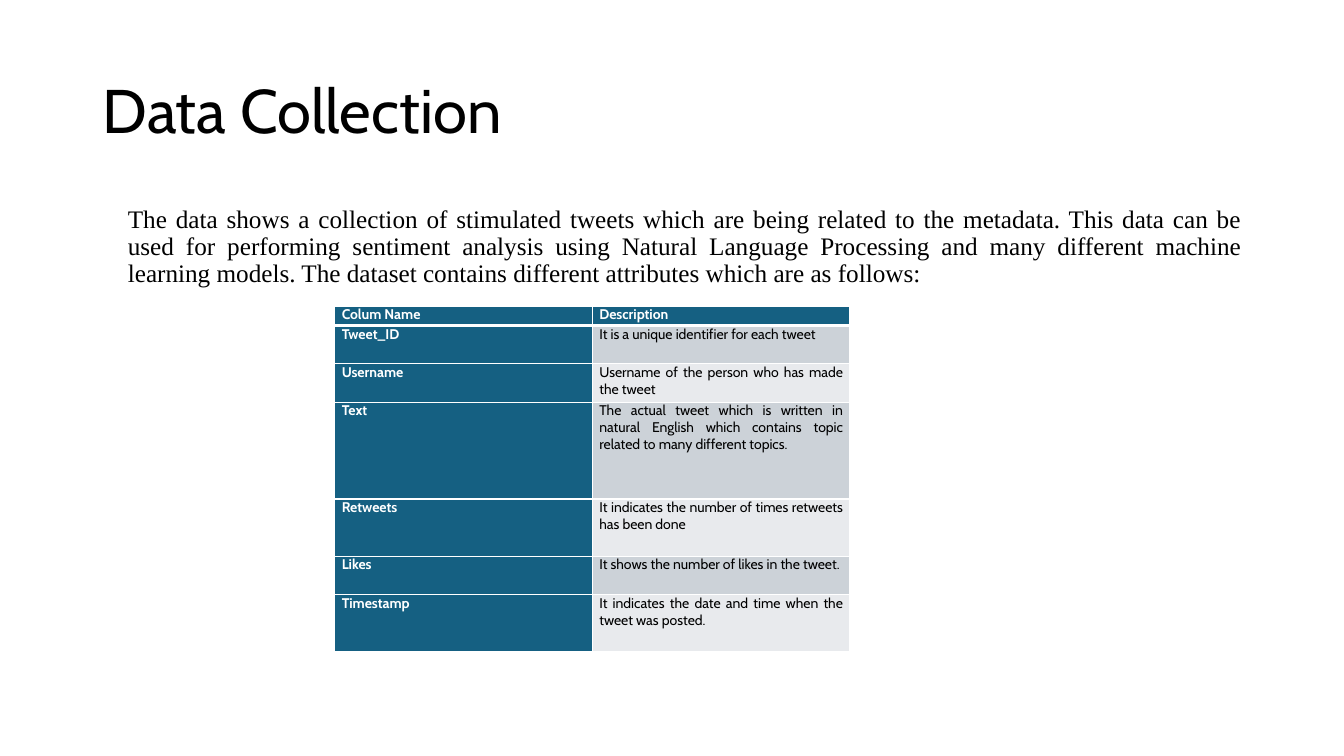
from dataclasses import dataclass

from lxml.etree import SubElement
from pptx import Presentation
from pptx.dml.color import RGBColor
from pptx.enum.text import MSO_ANCHOR, PP_ALIGN
from pptx.oxml.ns import qn
from pptx.util import Inches, Pt


@dataclass(frozen=True)
class Theme:
    heading_font: str = "Cabin"
    body_font: str = "Times New Roman"
    title_size: int = 44
    body_size: int = 18
    table_size: int = 10
    ink: str = "000000"
    white: str = "FFFFFF"
    accent: str = "156082"
    bands: tuple = ("CCD2D8", "E8EAED")


THEME = Theme()
INTRO = (
    "The data shows a collection of stimulated tweets which are being related to "
    "the metadata. This data can be used for performing sentiment analysis using "
    "Natural Language Processing and many different machine learning models. "
    "The dataset contains different attributes which are as follows:"
)
ATTRIBUTES = [
    ("Colum Name", "Description", 0.19),
    ("Tweet_ID", "It is a unique identifier for each tweet", 0.38),
    ("Username", "Username of the person who has made the tweet", 0.38),
    ("Text", "The actual tweet which is written in natural English which "
             "contains topic related to many different topics. ", 0.96),
    ("Retweets", "It indicates the number of times retweets has been done", 0.57),
    ("Likes", "It shows the number of likes in the tweet.", 0.38),
    ("Timestamp", "It indicates the date and time when the tweet was posted. ", 0.57),
]


def add_text(paragraph, text, font, size, color, bold=False):
    run = paragraph.add_run()
    run.text = text
    run.font.name = font
    run.font.size = Pt(size)
    run.font.bold = bold
    run.font.color.rgb = RGBColor.from_string(color)


def add_frame(slide, box):
    frame = slide.shapes.add_textbox(*map(Inches, box)).text_frame
    frame.word_wrap = True
    frame.paragraphs[0].line_spacing = 0.9
    return frame


def add_title(slide, box):
    title = add_frame(slide, box)
    title.vertical_anchor = MSO_ANCHOR.MIDDLE
    add_text(title.paragraphs[0], "Data Collection", THEME.heading_font,
             THEME.title_size, THEME.ink)


def add_intro(slide, box):
    intro = add_frame(slide, box).paragraphs[0]
    intro.alignment = PP_ALIGN.JUSTIFY
    intro.space_before = Pt(10)
    properties = intro._p.get_or_add_pPr()
    properties.set("marL", str(Inches(0.25)))
    properties.set("indent", "0")
    add_text(intro, INTRO, THEME.body_font, THEME.body_size, THEME.ink)


def set_borders(cell, top, bottom):
    properties = cell._tc.get_or_add_tcPr()
    for position, (side, width) in enumerate(
            [("lnL", 1), ("lnR", 1), ("lnT", top), ("lnB", bottom)]):
        line = SubElement(properties, qn(f"a:{side}"), w=str(Pt(width)))
        fill = SubElement(line, qn("a:solidFill"))
        SubElement(fill, qn("a:srgbClr"), val=THEME.white)
        properties.insert(position, line)


def fill_cell(cell, text, row, is_label):
    cell.margin_left = cell.margin_right = Inches(0.07)
    cell.margin_top = cell.margin_bottom = 0
    background = THEME.accent if is_label else THEME.bands[(row - 1) % 2]
    cell.fill.solid()
    cell.fill.fore_color.rgb = RGBColor.from_string(background)
    set_borders(cell, 3 if row == 1 else 1, 3 if row == 0 else 1)
    paragraph = cell.text_frame.paragraphs[0]
    paragraph.alignment = PP_ALIGN.JUSTIFY
    add_text(paragraph, text, THEME.heading_font, THEME.table_size,
             THEME.white if is_label else THEME.ink, is_label)


def add_attribute_table(slide, box):
    table = slide.shapes.add_table(len(ATTRIBUTES), 2, *map(Inches, box)).table
    for column in table.columns:
        column.width = Inches(box[2] / 2)
    for row, (name, description, height) in enumerate(ATTRIBUTES):
        table.rows[row].height = Inches(height)
        fill_cell(table.cell(row, 0), name, row, True)
        fill_cell(table.cell(row, 1), description, row, row == 0)


def main():
    presentation = Presentation()
    presentation.slide_width = Inches(13.33)
    presentation.slide_height = Inches(7.5)
    slide = presentation.slides.add_slide(presentation.slide_layouts[6])
    add_title(slide, (0.92, 0.4, 11.5, 1.45))
    add_intro(slide, (0.92, 2, 11.5, 4.76))
    add_attribute_table(slide, (3.32, 3.04, 5.11, 3.44))
    presentation.save("out.pptx")


if __name__ == "__main__":
    main()
